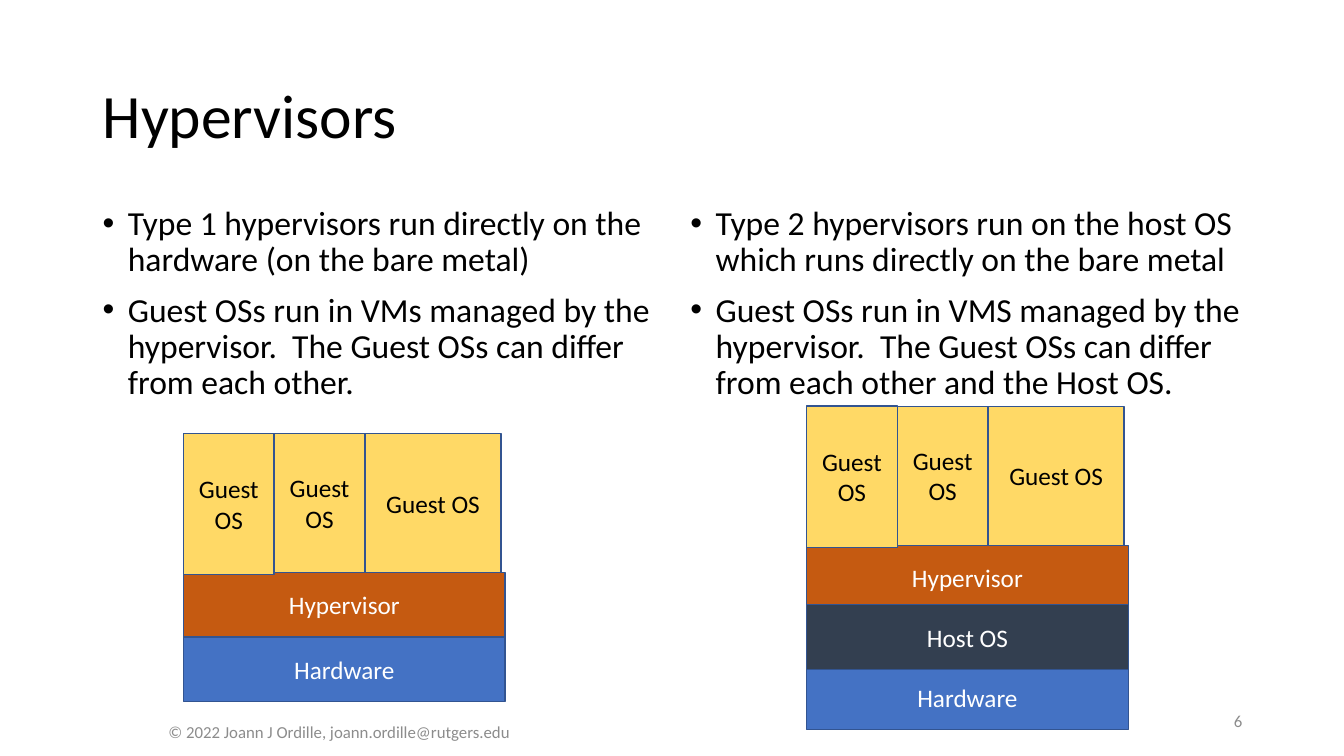
from lxml.etree import SubElement
from pptx import Presentation
from pptx.dml.color import RGBColor
from pptx.enum.shapes import MSO_SHAPE
from pptx.enum.text import MSO_ANCHOR, PP_ALIGN
from pptx.oxml.ns import qn
from pptx.util import Inches, Pt

FONT = "Calibri"
BLACK, WHITE, GRAY = "000000", "FFFFFF", "8C8C8C"
BLUE, ORANGE, NAVY, YELLOW = "4472C4", "C55A11", "333F50", "FFD966"
OUTLINE = "325491"
LAYER_WIDTH, LAYER_HEIGHT = 3.19, 0.64
GUEST_SIZES = [(0.9, 1.4), (0.9, 1.38), (1.35, 1.38)]


def color(value):
    return RGBColor.from_string(value)


def style_paragraph(paragraph, size, font_color, align=PP_ALIGN.LEFT):
    paragraph.alignment = align
    paragraph.font.name = FONT
    paragraph.font.size = Pt(size)
    paragraph.font.color.rgb = color(font_color)


def add_text(slide, box, text, size, font_color, align=PP_ALIGN.LEFT):
    shape = slide.shapes.add_textbox(*map(Inches, box))
    text_frame = shape.text_frame
    text_frame.word_wrap = True
    text_frame.vertical_anchor = MSO_ANCHOR.MIDDLE
    text_frame.text = text
    style_paragraph(text_frame.paragraphs[0], size, font_color, align)


def add_bullets(slide, left, items):
    shape = slide.shapes.add_textbox(Inches(left), Inches(2), Inches(5.67), Inches(4.76))
    text_frame = shape.text_frame
    text_frame.word_wrap = True
    text_frame.text = "\n".join(items)
    for index, paragraph in enumerate(text_frame.paragraphs):
        properties = paragraph._p.get_or_add_pPr()
        properties.set("marL", str(Inches(0.25)))
        properties.set("indent", str(Inches(-0.25)))
        SubElement(properties, qn("a:buFont")).set("typeface", "Arial")
        SubElement(properties, qn("a:buChar")).set("char", "•")
        style_paragraph(paragraph, 24, BLACK)
        paragraph.line_spacing = 0.9
        paragraph.space_before = Pt(10 if index else 0)


def add_block(slide, box, label, fill, font_color):
    shape = slide.shapes.add_shape(MSO_SHAPE.RECTANGLE, *map(Inches, box))
    shape.shadow.inherit = False
    shape.fill.solid()
    shape.fill.fore_color.rgb = color(fill)
    shape.line.color.rgb = color(OUTLINE)
    shape.line.width = Pt(1)
    text_frame = shape.text_frame
    text_frame.word_wrap = True
    text_frame.vertical_anchor = MSO_ANCHOR.MIDDLE
    text_frame.text = label
    style_paragraph(text_frame.paragraphs[0], 18, font_color, PP_ALIGN.CENTER)


def add_stack(slide, left, top, layers):
    for label, layer_top, fill in layers:
        add_block(slide, (left, layer_top, LAYER_WIDTH, LAYER_HEIGHT), label, fill, WHITE)
    for width, height in GUEST_SIZES:
        add_block(slide, (left, top, width, height), "Guest OS", YELLOW, BLACK)
        left += width


def main():
    presentation = Presentation()
    presentation.slide_width = Inches(13.33)
    presentation.slide_height = Inches(7.5)
    slide = presentation.slides.add_slide(presentation.slide_layouts[6])

    add_text(slide, (0.92, 0.4, 11.5, 1.45), "Hypervisors", 44, BLACK)
    add_bullets(slide, 0.92, [
        "Type 1 hypervisors run directly on the hardware (on the bare metal)",
        "Guest OSs run in VMs managed by the hypervisor.  The Guest OSs can differ from each other.",
    ])
    add_bullets(slide, 6.75, [
        "Type 2 hypervisors run on the host OS which runs directly on the bare metal",
        "Guest OSs run in VMS managed by the hypervisor.  The Guest OSs can differ "
        "from each other and the Host OS.",
    ])
    add_stack(slide, 1.82, 4.3, [
        ("Hardware", 6.32, BLUE),
        ("Hypervisor", 5.68, ORANGE),
    ])
    add_stack(slide, 8, 4.03, [
        ("Hardware", 6.6, BLUE),
        ("Hypervisor", 5.41, ORANGE),
        ("Host OS", 6, NAVY),
    ])
    add_text(slide, (9.42, 6.95, 3, 0.4), "6", 12, GRAY, PP_ALIGN.RIGHT)
    add_text(slide, (0.92, 7.06, 4.89, 0.4),
             "© 2022 Joann J Ordille, joann.ordille@rutgers.edu", 12, GRAY, PP_ALIGN.CENTER)

    presentation.save("out.pptx")


if __name__ == "__main__":
    main()
